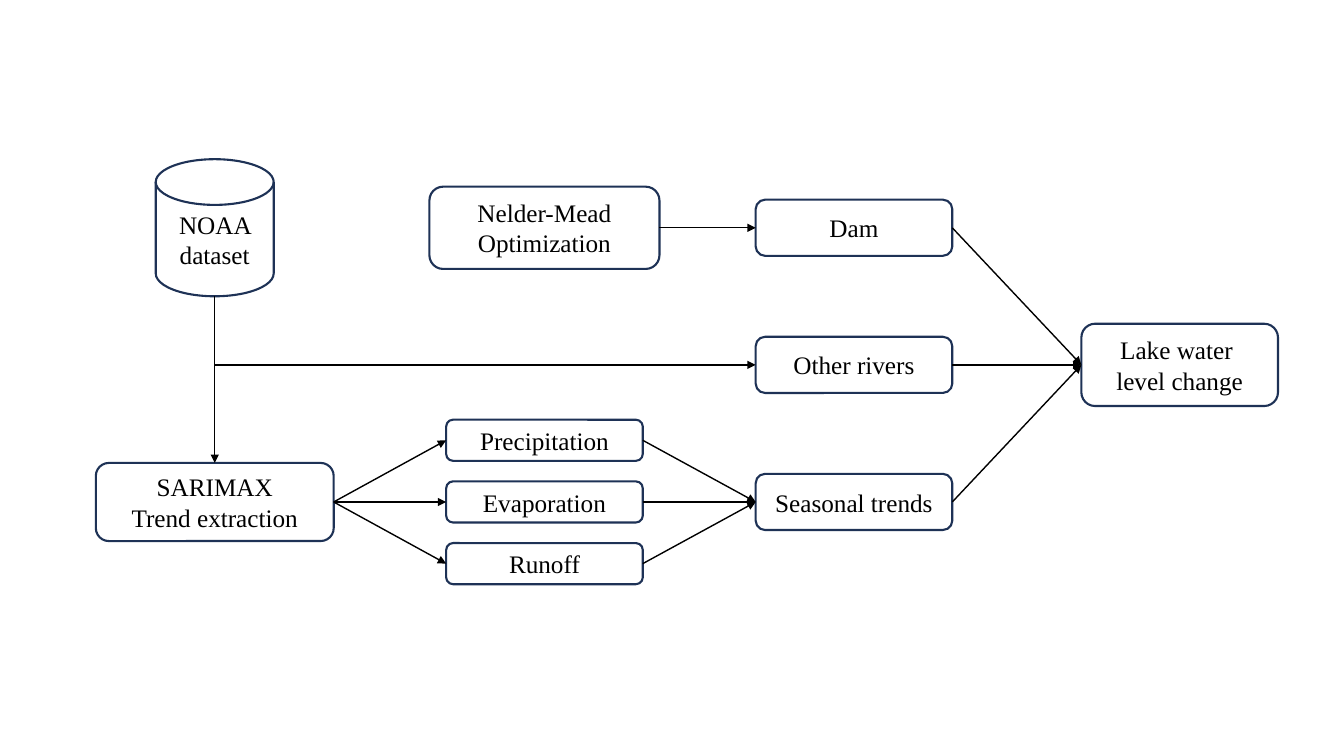
from dataclasses import dataclass

from lxml import etree
from pptx import Presentation
from pptx.dml.color import RGBColor
from pptx.enum.shapes import MSO_CONNECTOR, MSO_SHAPE
from pptx.enum.text import MSO_ANCHOR, PP_ALIGN
from pptx.oxml.ns import qn
from pptx.util import Inches, Pt

ROUNDED = MSO_SHAPE.ROUNDED_RECTANGLE
DISK = MSO_SHAPE.FLOWCHART_MAGNETIC_DISK
STRAIGHT = MSO_CONNECTOR.STRAIGHT
MIDDLE, CENTER = MSO_ANCHOR.MIDDLE, PP_ALIGN.CENTER
TOP, LEFT, RIGHT = 0, 1, 3

# Grid: column centres, the width of a standard box, and evenly spaced rows
SOURCE, INPUT, FACTOR, RESULT = 2.13, 5.4, 8.47, 11.7
COL_W = 1.95
ROW_0, ROW_H = 2.26, 1.36


@dataclass(frozen=True)
class Theme:
    fill: RGBColor = RGBColor.from_string("FFFFFF")
    outline: RGBColor = RGBColor.from_string("1E3256")
    ink: RGBColor = RGBColor.from_string("000000")
    font: str = "Times New Roman"
    size: Pt = Pt(18)
    box_line: Pt = Pt(1.5)
    arrow_line: Pt = Pt(1)


class Diagram:
    def __init__(self, slide, theme):
        self.slide, self.theme = slide, theme

    def point(self, col, row):
        return Inches(col), Inches(ROW_0 + row * ROW_H)

    def box(self, text, col, row, cols=1, rows=0.41, kind=ROUNDED):
        """Add a box centred on a grid point, sized in columns and rows."""
        t = self.theme
        x, y = self.point(col, row)
        w, h = Inches(cols * COL_W), Inches(rows * ROW_H)
        sp = self.slide.shapes.add_shape(kind, x - w // 2, y - h // 2, w, h)
        sp.shadow.inherit = False
        sp.fill.solid()
        sp.fill.fore_color.rgb = t.fill
        sp.line.color.rgb = t.outline
        sp.line.width = t.box_line
        tf = sp.text_frame
        tf.text = text
        tf.word_wrap = True
        tf.vertical_anchor = MIDDLE
        for p in tf.paragraphs:
            p.alignment = CENTER
            for r in p.runs:
                r.font.name = t.font
                r.font.size = t.size
                r.font.color.rgb = t.ink
        return sp

    def arrow(self, start, end, end_side=LEFT):
        """Join start, a box or a free (col, row) point, to the box end."""
        free = isinstance(start, tuple)
        x, y = self.point(*start) if free else (0, 0)
        cx = self.slide.shapes.add_connector(STRAIGHT, x, y, x, y)
        if not free:
            cx.begin_connect(start, RIGHT)
        cx.end_connect(end, end_side)
        cx.line.color.rgb = self.theme.ink
        cx.line.width = self.theme.arrow_line
        etree.SubElement(cx.line._get_or_add_ln(), qn("a:tailEnd"), type="triangle")
        etree.SubElement(cx._element.spPr, qn("a:effectLst"))


def main():
    prs = Presentation()
    prs.slide_width, prs.slide_height = Inches(13.33), Inches(7.5)
    d = Diagram(prs.slides.add_slide(prs.slide_layouts[6]), Theme())

    d.box("NOAA dataset", SOURCE, 0, 0.6, 1, DISK)
    sarimax = d.box("SARIMAX\nTrend extraction", SOURCE, 2, 1.21, 0.57)
    optimizer = d.box("Nelder-Mead\nOptimization", INPUT, 0, 1.17, 0.6)
    dam, rivers, seasonal = [
        d.box(name, FACTOR, row)
        for row, name in enumerate(("Dam", "Other rivers", "Seasonal trends"))
    ]
    lake = d.box("Lake water \nlevel change", RESULT, 1, rows=0.6)

    # The disk is one row high, so its bottom lies half a row below its centre
    d.arrow((SOURCE, 0.5), sarimax, TOP)
    d.arrow((SOURCE, 1), rivers)
    d.arrow(optimizer, dam)
    for i, name in enumerate(("Precipitation", "Evaporation", "Runoff")):
        trend = d.box(name, INPUT, 2 + (i - 1) * 0.45, rows=0.3)
        d.arrow(sarimax, trend)
        d.arrow(trend, seasonal)
    for factor in (dam, rivers, seasonal):
        d.arrow(factor, lake)

    prs.save("out.pptx")


if __name__ == "__main__":
    main()
